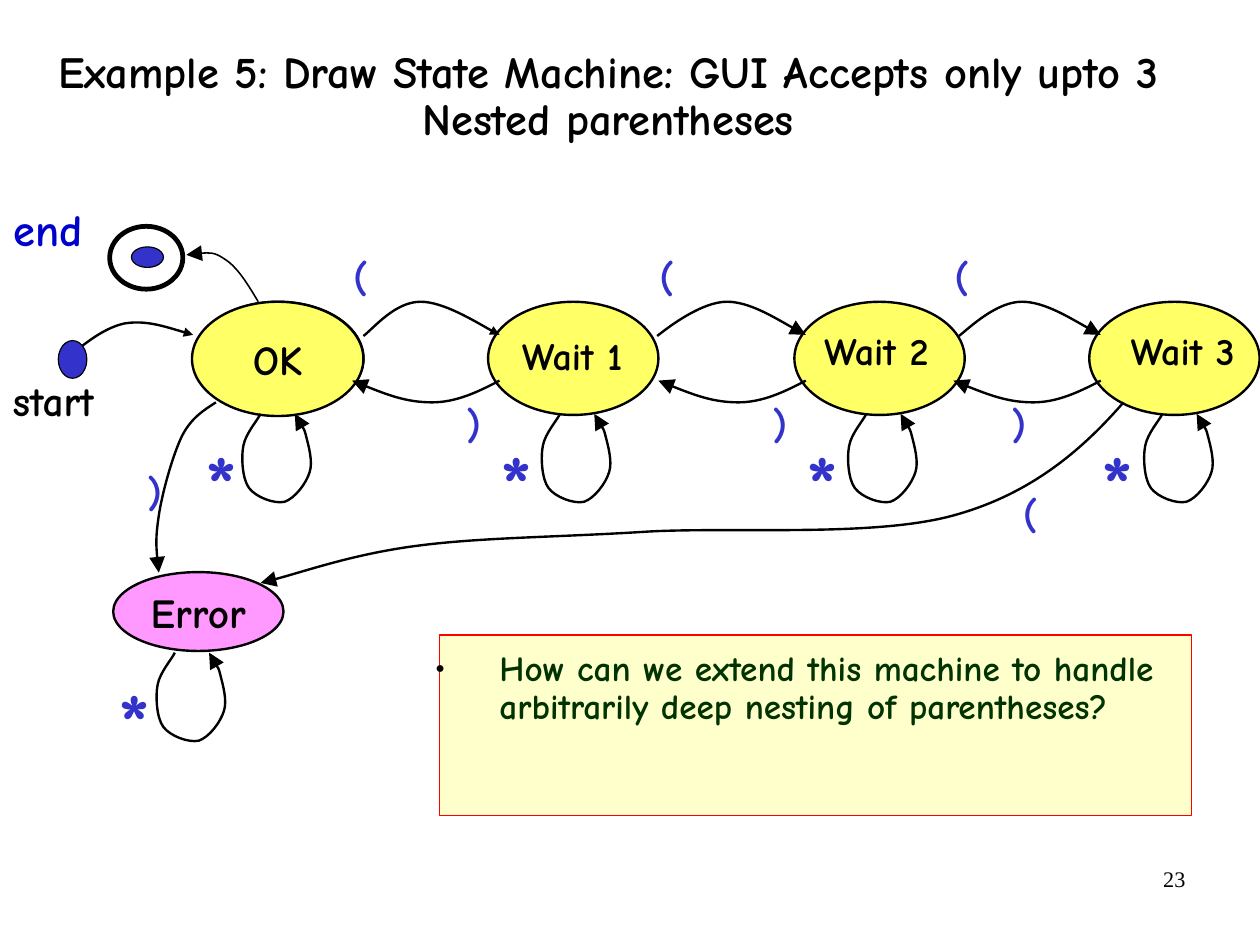
"""Draw the state machine that accepts up to three nested parentheses."""
from lxml import etree
from pptx import Presentation
from pptx.dml.color import RGBColor
from pptx.enum.shapes import MSO_SHAPE
from pptx.enum.text import MSO_ANCHOR, MSO_AUTO_SIZE, PP_ALIGN
from pptx.oxml.ns import qn
from pptx.util import Cm, Inches, Pt

OVAL, RECT = MSO_SHAPE.OVAL, MSO_SHAPE.RECTANGLE
LEFT, MID, RIGHT = PP_ALIGN.LEFT, PP_ALIGN.CENTER, PP_ALIGN.RIGHT
TOP, CORE, BASE = MSO_ANCHOR.TOP, MSO_ANCHOR.MIDDLE, MSO_ANCHOR.BOTTOM
FIXED = MSO_AUTO_SIZE.NONE

BLACK = RGBColor(0x00, 0x00, 0x00)
BLUE = RGBColor(0x33, 0x33, 0xCC)
NAVY = RGBColor(0x00, 0x00, 0xCC)
GREEN = RGBColor(0x00, 0x33, 0x00)
RED = RGBColor(0xFF, 0x00, 0x00)
PINK = RGBColor(0xFF, 0x99, 0xFF)
YELLOW = RGBColor(0xFF, 0xFF, 0x66)
CREAM = RGBColor(0xFF, 0xFF, 0xCC)

CELL = Inches(0.1)
FACE = "Comic Neue"
ROW = 26.4
STATES = (16.9, 42.7, 69.5, 95.3)
LOOP = ((0, 0), (-0.2, 0.5), (-1.3, 1.7), (-1.5, 2.8), (-1.7, 3.8),
        (-1.6, 5.7), (-1, 6.5), (-0.4, 7.3), (1.2, 7.9), (2.1, 7.7),
        (3, 7.4), (4, 6.1), (4.3, 5.1), (4.6, 4.2), (4.2, 2.8),
        (4, 2), (3.8, 1.2), (3.2, 0.4), (3, 0))
OVER = ((-8.1, 26.4), (-5.9, 26.4), (-3.9, 26.4), (0, 28.8), (1, 29.3))
BACK = ((1, 33.3), (-0.9, 34.3), (-2.8, 35.2), (-4.9, 35.2),
        (-7.1, 35.2), (-9.5, 34.3), (-11.9, 33.3))
BEGIN = ((5.9, 31.3), (7.5, 30), (9.1, 28.7), (10.9, 28.3),
         (12.8, 28), (14.8, 28.7), (16.9, 29.3))
FINISH = ((22.6, 26.4), (21.7, 24.9), (20.8, 23.4), (19.7, 22.7),
          (18.7, 22), (17.5, 22.1), (16.3, 22.3))
FAIL = ((18.9, 35.2), (17.8, 35.9), (16.7, 36.6), (15.9, 38.2),
        (15.1, 39.9), (14.2, 43.1), (13.9, 45.1), (13.6, 47.1),
        (13.7, 48.6), (13.9, 50.1))
DEEP = ((98.3, 35.2), (94.9, 39.1), (90.4, 43.2), (83.4, 45.1),
        (76.5, 47), (64.5, 46.1), (56.8, 46.5), (49, 47),
        (42.5, 47), (36.9, 47.7), (31.2, 48.4), (25.8, 50.3), (22.8, 51))


def place(*cells):
    """Turn grid cells into lengths."""
    return [round(cell * CELL) for cell in cells]


def assign(item, values):
    """Set the attributes of an item from a dict."""
    for key, value in values.items():
        setattr(item, key, value)


def write(shape, text, size, color=BLACK, face=FACE, bold=True,
          align=LEFT, anchor=TOP, wrap=True, pad=1.1, space=1.0):
    """Put one formatted paragraph in a shape and return it."""
    frame = shape.text_frame
    side, edge = place(pad, pad / 2)
    assign(frame, {"word_wrap": wrap, "auto_size": FIXED,
                   "vertical_anchor": anchor, "margin_left": side,
                   "margin_right": side, "margin_top": edge,
                   "margin_bottom": edge})
    para = frame.paragraphs[0]
    assign(para, {"alignment": align, "line_spacing": space,
                  "space_before": Pt(0)})
    run = para.add_run()
    run.text = text
    assign(run.font, {"name": face, "size": Pt(size), "bold": bold})
    run.font.color.rgb = color
    return para


def label(slide, box, text, size, color=BLACK, **style):
    """Add a text box."""
    write(slide.shapes.add_textbox(*place(*box)), text, size, color, **style)


def shape(slide, kind, box, fill=None, width=1.5, color=BLACK):
    """Add a preset shape, hollow when it has no fill."""
    item = slide.shapes.add_shape(kind, *place(*box))
    paint(item, fill, width, color)
    return item


def paint(item, fill, width, color=BLACK):
    """Set the fill and line of a shape."""
    item.shadow.inherit = False
    if fill is None:
        item.fill.background()
    else:
        item.fill.solid()
        item.fill.fore_color.rgb = fill
    item.line.color.rgb = color
    item.line.width = Pt(width)


def curve(slide, dots, left=0, top=0, width=1.5, head="lg"):
    """Draw a chain of cubic curves that ends in an arrowhead."""
    spots = [place(x + left, y + top) for x, y in dots]
    pen = slide.shapes.build_freeform(*spots[0])
    pen.add_line_segments(spots[1:], close=False)
    item = pen.convert_to_shape()
    paint(item, None, width)
    props = item.element.spPr
    track = props.find(".//" + qn("a:path"))
    steps = track.findall(qn("a:lnTo"))
    for first in range(0, len(steps), 3):
        bend = etree.SubElement(track, qn("a:cubicBezTo"))
        for step in steps[first:first + 3]:
            bend.append(step[0])
            track.remove(step)
    etree.SubElement(props.find(qn("a:ln")), qn("a:tailEnd"),
                     type="triangle", w=head, len=head)


def bullet(para):
    """Give a paragraph a small black bullet and a hanging indent."""
    props = para._p.get_or_add_pPr()
    left, hang = place(6.8, -5.6)
    props.set("marL", str(left))
    props.set("indent", str(hang))
    tint = etree.SubElement(props, qn("a:buClr"))
    etree.SubElement(tint, qn("a:srgbClr"), val=str(BLACK))
    etree.SubElement(props, qn("a:buSzPct"), val="45000")
    etree.SubElement(props, qn("a:buChar"), char="●")


def mark(slide, left, top, sign):
    """Add a blue parenthesis."""
    label(slide, (left, top, 5, 5.4), sign, 26, BLUE)


def repeat(slide, left, top, star, high):
    """Add a loop with its star."""
    curve(slide, LOOP, left, top)
    label(slide, (star, high, 6, 9.9), "*", 53, BLUE)


def frame(slide):
    """Fill the title, the question and the page number."""
    title, body = slide.placeholders
    for item, box in ((title, (2.1, -0.5, 102.2, 13.7)),
                      (body, (35.8, 56.4, 68.5, 11.9))):
        assign(item, dict(zip(("left", "top", "width", "height"),
                              place(*box))))
    write(title, "Example 5: Draw State Machine: GUI Accepts only upto 3 "
          "Nested parentheses", 28, align=MID, anchor=BASE, space=0.88)
    bullet(write(body, "How can we extend this machine to handle "
                 "arbitrarily deep nesting of parentheses?",
                 22.2, GREEN, space=0.9))
    panel = shape(slide, RECT, (38.45, 55.55, 65.8, 15.8), CREAM, 0.75, RED)
    title.element.addprevious(panel.element)
    label(slide, (79, 75.25, 25.7, 5.7), "23", 14, face="Times New Roman",
          bold=False, align=RIGHT, pad=1)


def main():
    """Build and save the slide."""
    deck = Presentation()
    deck.slide_width, deck.slide_height = Cm(28), Cm(21)
    slide = deck.slides.add_slide(deck.slide_layouts[1])
    frame(slide)

    for left in STATES:
        shape(slide, OVAL, (left, ROW, 14.9, 9.9), YELLOW)
    for box, fill, name in (((16.8, ROW, 15, 10), YELLOW, "OK"),
                            ((9.9, 50.05, 14.9, 6.9), PINK, "Error")):
        state = shape(slide, OVAL, box, fill)
        write(state, name, 26, align=MID, anchor=CORE, wrap=False)

    for left, start, close, head in zip(
            STATES[1:], (-10.9, -12, -11.4), (-3, -3, -7.9),
            ("med", "lg", "lg")):
        lead = ((start, 29.4), (start + 1, 28.6))
        curve(slide, lead + OVER, left, head=head)
        curve(slide, BACK, left)
        mark(slide, left - 12.9, 21.4, "(")
        mark(slide, left + close, 34.3, ")")
    for left, loop in zip(STATES, (22.8, 49, 75.8, 101.7)):
        repeat(slide, loop, 36.2, left, 37.15)
    repeat(slide, 15.3, 57.1, 9.3, 58.05)
    for step, (left, top) in enumerate(
            ((44.7, 29.35), (71.15, 28.9), (97.95, 28.9)), 1):
        label(slide, (left, top, 11.1, 4.2), f"Wait {step}", 24,
              wrap=False, pad=1, space=0.8)

    curve(slide, BEGIN, head="med")
    curve(slide, FINISH, width=1)
    curve(slide, FAIL)
    curve(slide, DEEP)
    mark(slide, 11.8, 40.2, ")")
    mark(slide, 88.4, 42.15, "(")
    shape(slide, OVAL, (5.1, 29.8, 2.5, 3.3), BLUE, 0.75)
    shape(slide, OVAL, (9.6, 19.8, 6.4, 5.5), None, 3)
    shape(slide, OVAL, (11.5, 21.6, 2.8, 1.8), BLUE, 0.75)
    label(slide, (0, 32.25, 12.6, 5.4), "start", 26)
    label(slide, (0.1, 17.15, 14.5, 5.8), "end", 28, NAVY)
    deck.save("out.pptx")


if __name__ == "__main__":
    main()
